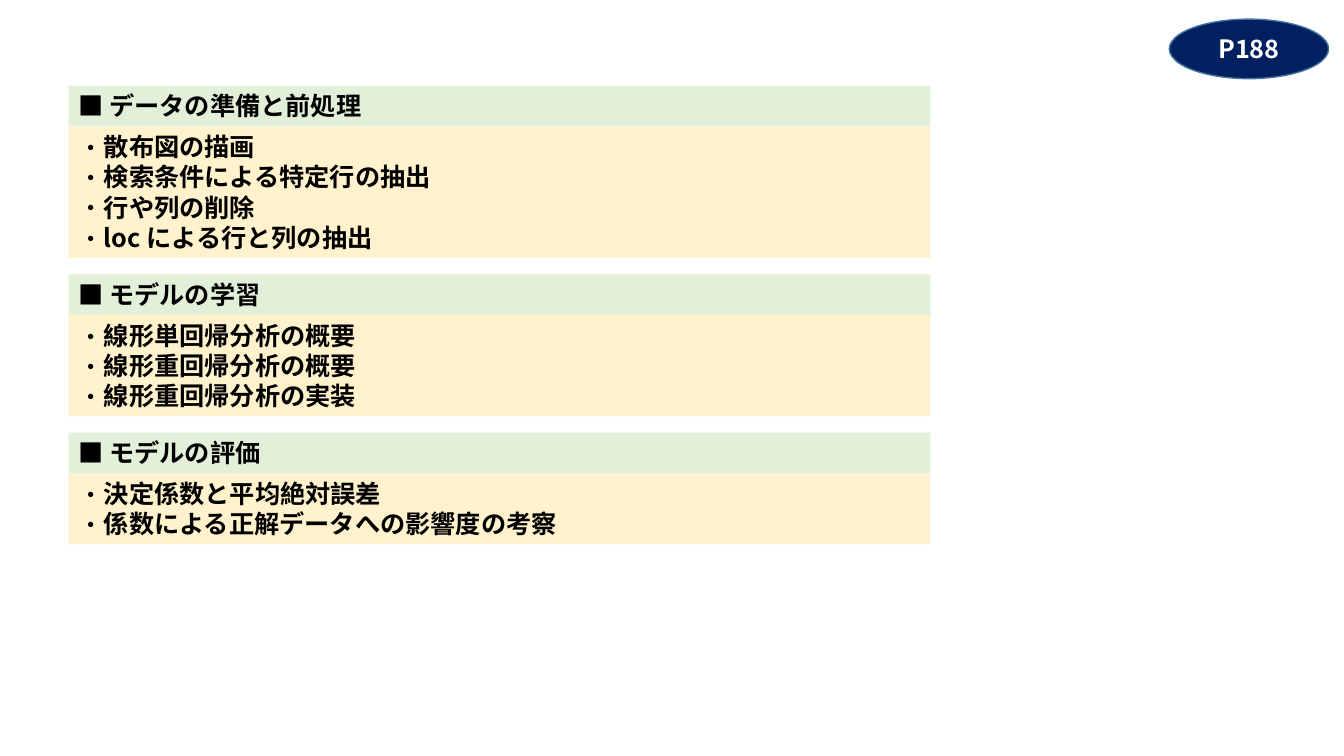
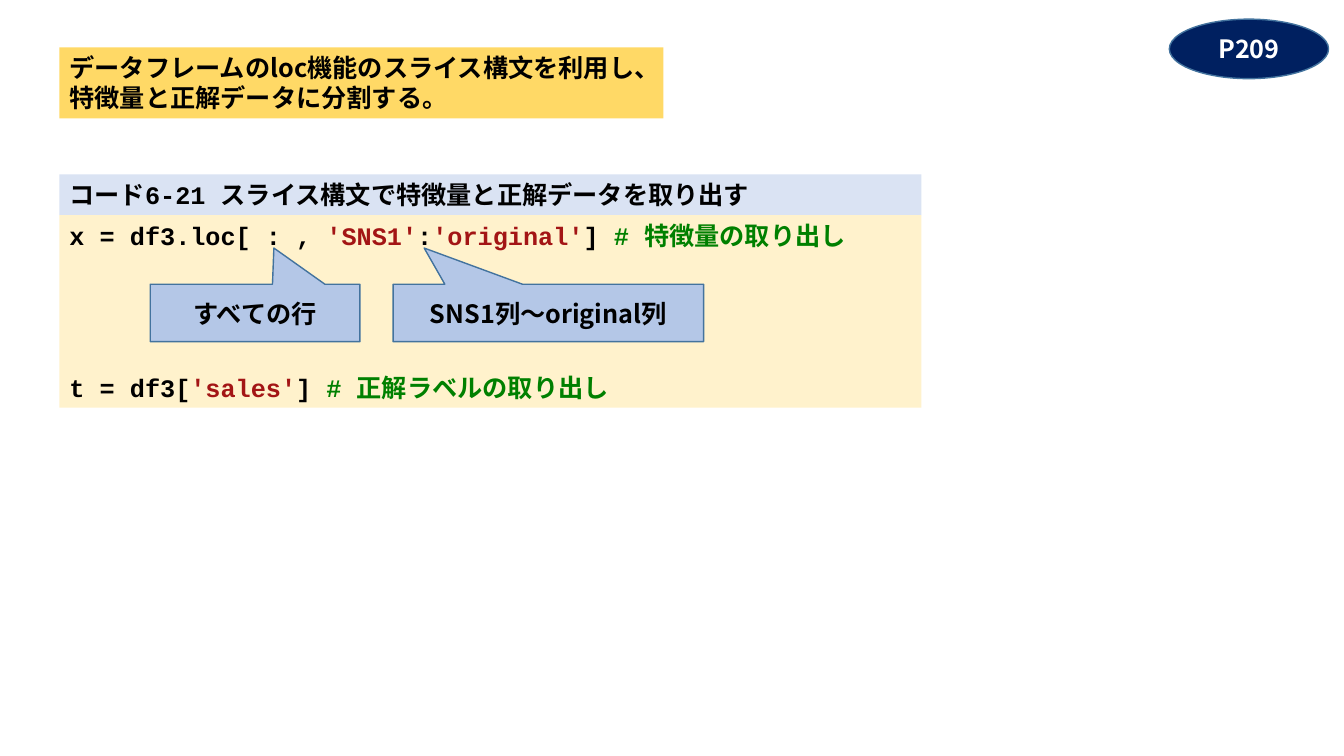
"""Build two lesson slides: a list of topics and a code sample."""
import pptx
import pptx.dml.color
import pptx.enum.shapes
import pptx.enum.text
import pptx.oxml.ns
import pptx.util
from lxml import etree

KIND = pptx.enum.shapes.MSO_SHAPE
ALIGN = pptx.enum.text.PP_ALIGN
ANCHOR = pptx.enum.text.MSO_ANCHOR
SANS, MONO = "Noto Sans CJK JP", "Courier New"
BLACK, WHITE, NAVY, EDGE = "000000", "FFFFFF", "002060", "43739E"
CREAM, GREEN, PALE, BLUE, GOLD = "FFF2CC", "E2F0D9", "DAE3F3", "B4C7E7", "FFD966"
RED, NOTE = "A31515", "008000"
WIDE, HEAD, LINE, GAP = 85.5, 4.04, 3.02, 1.6


def cell(count):
    """Turn grid cells, ten to the inch, into a length."""
    return pptx.util.Inches(count / 10)


def paint(target, tint):
    """Give a font, line or shape fill a solid colour."""
    fill = target if hasattr(target, "fore_color") else target.fill
    fill.solid()
    fill.fore_color.rgb = pptx.dml.color.RGBColor.from_string(tint)


def tag(parent, name, **attrs):
    """Append a drawing element to its parent."""
    return etree.SubElement(parent, pptx.oxml.ns.qn(name), attrs)


def tall(count):
    """Return the height of a panel that holds some lines."""
    return 1 + count * LINE


class Deck:
    """Hold the style and the current slide."""

    def __init__(self):
        """Start a wide, empty deck."""
        self.show = pptx.Presentation()
        self.show.slide_width = cell(133.33)
        self.show.slide_height = cell(75)
        self.page = None

    def start(self, layout, mark):
        """Add a slide with its page mark."""
        self.page = self.show.slides.add_slide(self.show.slide_layouts[layout])
        oval = self.shape(KIND.OVAL, (116, 1.9, 15.8, 5.9), NAVY, EDGE)
        self.label(oval, mark, tint=WHITE, mid=True)

    def shape(self, kind, area, tint, edge=None):
        """Draw a flat preset shape."""
        item = self.page.shapes.add_shape(kind, *map(cell, area))
        item.shadow.inherit = False
        paint(item, tint)
        if edge:
            paint(item.line, edge)
            item.line.width = pptx.util.Pt(1)
        else:
            item.line.fill.background()
        return item

    def style(self, run, face, tint):
        """Format one run."""
        font = run.font
        font.size, font.bold, font.name = pptx.util.Pt(18), True, face
        paint(font, tint)
        tag(run._r.get_or_add_rPr(), "a:ea", typeface=SANS)

    def setup(self, item, mid=False):
        """Set wrapping, anchor, alignment and spacing."""
        frame = item.text_frame
        frame.word_wrap = True
        frame.auto_size = pptx.enum.text.MSO_AUTO_SIZE.NONE
        frame.vertical_anchor = ANCHOR.MIDDLE if mid else ANCHOR.TOP
        for para in frame.paragraphs:
            para.alignment = ALIGN.CENTER if mid else ALIGN.LEFT
            para.line_spacing = 1.0
            para.space_before = para.space_after = pptx.util.Pt(0)

    def label(self, item, text, face=SANS, tint=BLACK, mid=False):
        """Put text of one style in a shape."""
        item.text_frame.text = text
        self.setup(item, mid)
        for para in item.text_frame.paragraphs:
            for run in para.runs:
                self.style(run, face, tint)

    def place(self, item, area, tint):
        """Move and fill a placeholder."""
        item.left, item.top, item.width, item.height = map(cell, area)
        paint(item, tint)

    def title(self, text, area):
        """Fill the title placeholder."""
        item = self.page.shapes.title
        self.place(item, area, GOLD)
        self.label(item, text)

    def head(self, text, left, top, tint):
        """Draw a heading bar."""
        bar = self.shape(KIND.RECTANGLE, (left, top, WIDE, HEAD), tint)
        self.label(bar, text, MONO)

    def points(self, slot, rows, left, top):
        """Fill a body placeholder with bullets and return its bottom."""
        item = self.page.placeholders[slot]
        high = tall(len(rows))
        self.place(item, (left, top, WIDE, high), CREAM)
        self.label(item, "\n".join(rows))
        for para in item.text_frame.paragraphs:
            props = para._p.get_or_add_pPr()
            props.set("marL", str(cell(2.5)))
            props.set("indent", str(-cell(2.5)))
            tag(props, "a:buFont", typeface=SANS)
            tag(props, "a:buChar", char="・")
        return top + high

    def code(self, rows, left, top, gap):
        """Draw a code panel with a gap, in lines, between its rows."""
        high = tall(len(rows) + gap * (len(rows) - 1))
        item = self.shape(KIND.RECTANGLE, (left, top, WIDE, high), CREAM)
        frame = item.text_frame
        for num, row in enumerate(rows):
            para = frame.add_paragraph() if num else frame.paragraphs[0]
            for text, tint in row:
                run = para.add_run()
                run.text = text
                self.style(run, MONO, tint)
        self.setup(item)
        for para in frame.paragraphs[1:]:
            para.space_before = cell(gap * LINE)

    def call(self, text, left, wide, tip):
        """Draw a callout whose tip points at the code."""
        item = self.shape(KIND.RECTANGULAR_CALLOUT, (left, 28.2, wide, 5.7), BLUE, EDGE)
        item.adjustments[0], item.adjustments[1] = tip, -1.13
        self.label(item, text, mid=True)

    def tidy(self):
        """Remove the empty placeholders."""
        for item in list(self.page.placeholders):
            if not item.text_frame.text:
                item.element.getparent().remove(item.element)


TOPICS = (
    ("データの準備と前処理", ("散布図の描画", "検索条件による特定行の抽出",
                    "行や列の削除", "loc による行と列の抽出")),
    ("モデルの学習", ("線形単回帰分析の概要", "線形重回帰分析の概要", "線形重回帰分析の実装")),
    ("モデルの評価", ("決定係数と平均絶対誤差", "係数による正解データへの影響度の考察")),
)
CODE = (
    (("x = df3.loc[ : , ", BLACK), ("'SNS1'", RED), (":", BLACK),
     ("'original'", RED), ("] ", BLACK), ("# 特徴量の取り出し", NOTE)),
    (("t = df3[", BLACK), ("'sales'", RED), ("] ", BLACK),
     ("# 正解ラベルの取り出し", NOTE)),
)


def main():
    """Build and save the deck."""
    deck = Deck()
    deck.start(4, "P188")
    left, top = 6.8, 8.5
    for slot, (name, rows) in enumerate(TOPICS, 1):
        deck.head(f"■ {name}", left, top, GREEN)
        top = deck.points(slot, rows, left, top + HEAD) + GAP
    deck.tidy()

    deck.start(5, "P209")
    left, top = 5.9, 17.3
    deck.title("データフレームのloc機能のスライス構文を利用し、\n特徴量と正解データに分割する。",
               (left, 4.7, 59.9, tall(2)))
    deck.head("コード6-21 スライス構文で特徴量と正解データを取り出す", left, top, PALE)
    deck.code(CODE, left, top + HEAD, 4)
    deck.call("すべての行", 14.9, 20.8, 0.09)
    deck.call("SNS1列～original列", 39, 30.8, -0.4)
    deck.tidy()
    deck.show.save("out.pptx")


if __name__ == "__main__":
    main()
